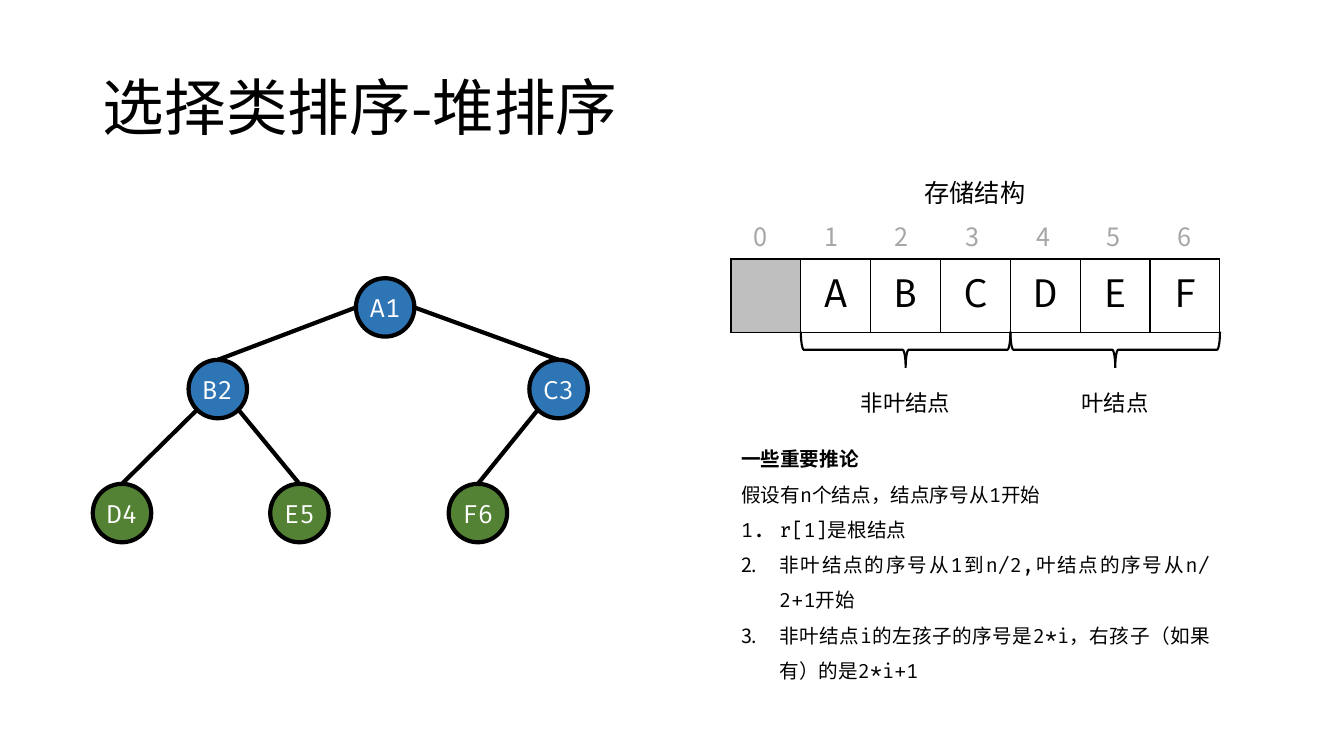
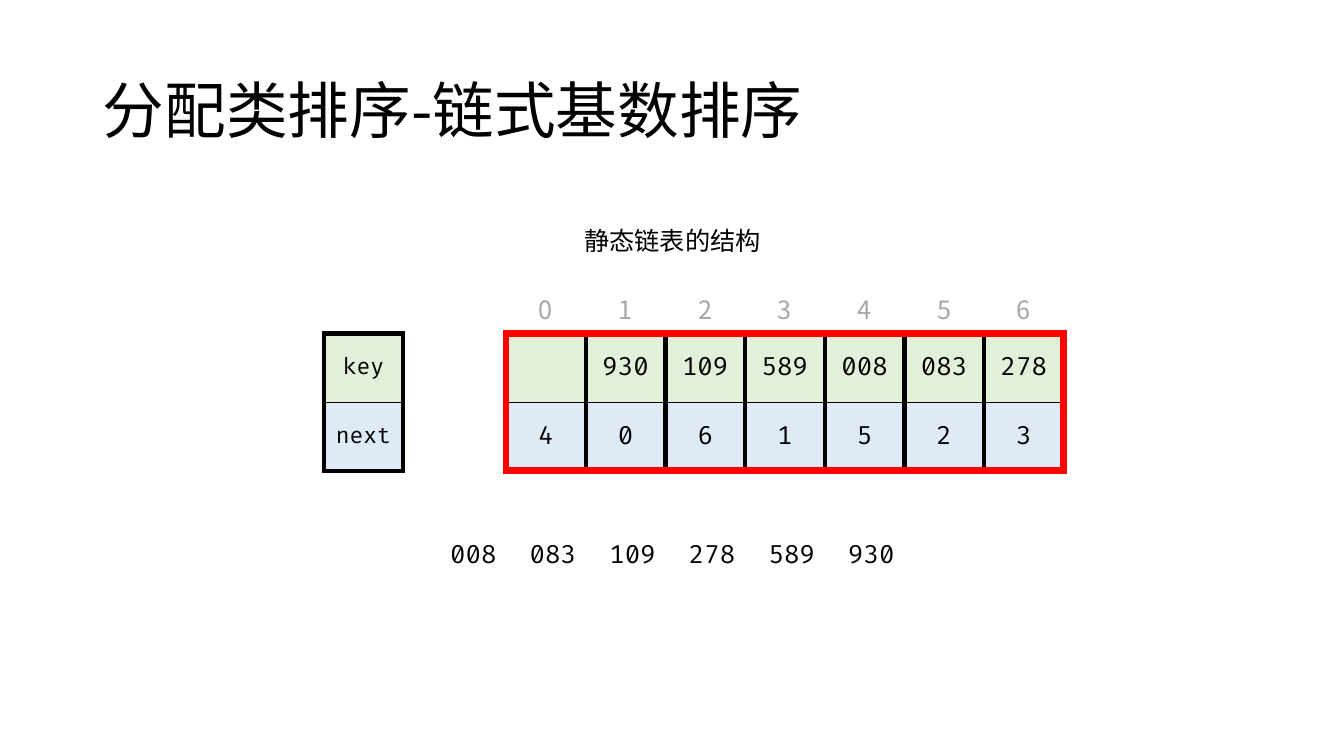
from dataclasses import dataclass
from math import cos, radians, sin

from lxml.etree import SubElement
from pptx import Presentation
from pptx.dml.color import RGBColor
from pptx.enum.shapes import MSO_CONNECTOR, MSO_SHAPE as SHAPE
from pptx.enum.text import MSO_ANCHOR as ANCHOR, MSO_AUTO_SIZE as FIT, PP_ALIGN as ALIGN
from pptx.oxml.ns import qn
from pptx.util import Inches, Pt


@dataclass(frozen=True)
class Theme:
    """Colours, fonts and type sizes of the deck."""
    ink: str = "000000"
    paper: str = "FFFFFF"
    muted: str = "A6A6A6"
    unused: str = "BFBFBF"
    inner_node: str = "2E75B6"
    leaf_node: str = "548235"
    key_fill: str = "E2F0D9"
    next_fill: str = "DEEBF7"
    highlight: str = "FF0000"
    sans: str = "Noto Sans CJK SC"
    code: str = "Fira Code"
    title: int = 44
    letter: int = 28
    text: int = 18
    small: int = 16
    body: int = 14
    border: float = 1
    brace: float = 1.5
    stroke: float = 3
    frame: float = 4.5


NO_GRID_STYLE = "{2D5ABB26-0587-4C30-8999-92F81FD0307C}"
TITLE_AND_BODY, TITLE_ONLY = 1, 5


class Deck:
    """Holds the presentation, its theme and the current slide."""

    def __init__(self, theme):
        """Start an empty widescreen deck."""
        self.theme = theme
        self.prs = Presentation()
        self.prs.slide_width, self.prs.slide_height = Inches(13.33), Inches(7.5)
        self.slide = None

    def style(self, paragraph, size, color=None, font=None, align=ALIGN.CENTER, bold=False):
        """Set alignment and font of a whole paragraph."""
        paragraph.alignment = align
        face = paragraph.font
        face.size, face.bold = Pt(size), bold
        face.color.rgb = RGBColor.from_string(color or self.theme.ink)
        face.name = font or self.theme.sans
        defaults = paragraph._p.pPr.find(qn("a:defRPr"))
        SubElement(defaults, qn("a:ea")).set("typeface", self.theme.sans)

    def place(self, holder, left, top, width, height):
        """Move a placeholder and stop it from resizing its text."""
        holder.left, holder.top = Inches(left), Inches(top)
        holder.width, holder.height = Inches(width), Inches(height)
        holder.text_frame.auto_size = FIT.NONE
        return holder.text_frame

    def new_slide(self, title, top, layout=TITLE_ONLY):
        """Add a slide with its title."""
        self.slide = self.prs.slides.add_slide(self.prs.slide_layouts[layout])
        frame = self.place(self.slide.shapes.title, 0.92, top, 11.5, 1.45)
        frame.text, frame.vertical_anchor = title, ANCHOR.MIDDLE
        heading = frame.paragraphs[0]
        heading.line_spacing = 0.9
        self.style(heading, self.theme.title, align=ALIGN.LEFT)

    def numbered_list(self, left, top, width, height, intro, items):
        """Fill the body with a bold heading, plain lines and a numbered list."""
        frame = self.place(self.slide.placeholders[1], left, top, width, height)
        frame.text = "\n".join(intro + items)
        frame.vertical_anchor = ANCHOR.TOP
        for row, paragraph in enumerate(frame.paragraphs):
            numbered = row >= len(intro)
            indent = Inches(0.38) if numbered else 0
            props = paragraph._p.get_or_add_pPr()
            props.set("marL", str(indent))
            props.set("indent", str(-indent))
            if numbered:
                SubElement(props, qn("a:buFont")).set("typeface", "+mj-lt")
                SubElement(props, qn("a:buAutoNum")).set("type", "arabicPeriod")
            else:
                SubElement(props, qn("a:buNone"))
            paragraph.line_spacing, paragraph.space_before = 1.5, Pt(0)
            self.style(paragraph, self.theme.body, font=self.theme.code,
                       align=ALIGN.JUSTIFY, bold=row == 0)

    def label(self, text, left, top, width, height, size):
        """Add a centred caption."""
        box = self.slide.shapes.add_textbox(Inches(left), Inches(top), Inches(width), Inches(height))
        box.text_frame.word_wrap = True
        box.text_frame.text = text
        self.style(box.text_frame.paragraphs[0], size)

    def shape(self, kind, left, top, width, height, weight, line=None, fill=None):
        """Add an outlined preset shape, hollow unless a fill is given."""
        item = self.slide.shapes.add_shape(kind, Inches(left), Inches(top), Inches(width), Inches(height))
        item.shadow.inherit = False
        if fill:
            item.fill.solid()
            item.fill.fore_color.rgb = RGBColor.from_string(fill)
        else:
            item.fill.background()
        item.line.color.rgb = RGBColor.from_string(line or self.theme.ink)
        item.line.width = Pt(weight)
        SubElement(item._element.spPr.find(qn("a:ln")), qn("a:miter")).set("lim", "800000")
        return item

    def tree_node(self, text, left, top, size, fill):
        """Add a round tree node."""
        node = self.shape(SHAPE.OVAL, left, top, size, size, self.theme.stroke, fill=fill)
        frame = node.text_frame
        frame.text, frame.word_wrap, frame.vertical_anchor = text, False, ANCHOR.MIDDLE
        self.style(frame.paragraphs[0], self.theme.text, self.theme.paper, self.theme.code)

    def edge(self, x1, y1, x2, y2):
        """Draw a straight tree edge."""
        line = self.slide.shapes.add_connector(
            MSO_CONNECTOR.STRAIGHT, Inches(x1), Inches(y1), Inches(x2), Inches(y2))
        line.line.color.rgb = RGBColor.from_string(self.theme.ink)
        line.line.width = Pt(self.theme.stroke)
        SubElement(line._element.spPr, qn("a:effectLst"))

    def brace(self, left, top, width, height):
        """Add a brace that opens upward over the given area."""
        turned_left = left + (width - height) / 2
        turned_top = top + (height - width) / 2
        mark = self.shape(SHAPE.RIGHT_BRACE, turned_left, turned_top, height, width, self.theme.brace)
        mark.rotation = 90

    def border(self, cell):
        """Draw a thin line around a table cell."""
        props = cell._tc.get_or_add_tcPr()
        for side in ("lnL", "lnR", "lnT", "lnB"):
            line = SubElement(props, qn(f"a:{side}"), w=str(Pt(self.theme.border)))
            paint = SubElement(line, qn("a:solidFill"))
            SubElement(paint, qn("a:srgbClr")).set("val", self.theme.ink)

    def table(self, rows, left, top, width, height, size, color=None, font=None,
              fills=None, bordered=False, anchor=ANCHOR.MIDDLE):
        """Add an even grid; fills maps (row, column) to a colour."""
        count = len(rows[0])
        grid = self.slide.shapes.add_table(
            len(rows), count, Inches(left), Inches(top), Inches(width), Inches(height)).table
        grid.first_row = grid.horz_banding = False
        grid._tbl.tblPr.find(qn("a:tableStyleId")).text = NO_GRID_STYLE
        for column in grid.columns:
            column.width = Inches(width / count)
        for r, values in enumerate(rows):
            grid.rows[r].height = Inches(height / len(rows))
            for c, value in enumerate(values):
                cell = grid.cell(r, c)
                cell.text, cell.vertical_anchor = value, anchor
                self.style(cell.text_frame.paragraphs[0], size, color, font or self.theme.code)
                if bordered:
                    self.border(cell)
                fill = (fills or {}).get((r, c))
                if fill:
                    cell.fill.solid()
                    cell.fill.fore_color.rgb = RGBColor.from_string(fill)
                else:
                    cell.fill.background()

    def indices(self, left, top, width, height, anchor=ANCHOR.MIDDLE):
        """Add the grey row of array positions 0 to 6."""
        self.table([list("0123456")], left, top, width, height, self.theme.text,
                   self.theme.muted, self.theme.sans, anchor=anchor)

    def list_node(self, key, link, left, top, width, height, size):
        """Add a framed list node with its key above its next field."""
        self.table([[key], [link]], left, top, width, height, size, bordered=True,
                   fills={(0, 0): self.theme.key_fill, (1, 0): self.theme.next_fill})
        self.shape(SHAPE.RECTANGLE, left, top, width, height, self.theme.stroke)


def heap_slide(deck):
    """Build the heap tree, its array storage and the conclusions."""
    theme = deck.theme
    deck.new_slide("选择类排序-堆排序", 0.37, TITLE_AND_BODY)

    diameter = 0.58
    radius = diameter / 2
    nodes = {"A1": (3.53, 2.76), "B2": (1.87, 3.57), "C3": (5.25, 3.57),
             "D4": (0.92, 4.8), "E5": (2.68, 4.8), "F6": (4.45, 4.8)}
    edges = [("A1", "B2", 180), ("A1", "C3", 0),
             ("B2", "D4", 135), ("B2", "E5", 45), ("C3", "F6", 135)]
    for parent, child, angle in edges:
        (px, py), (cx, cy) = nodes[parent], nodes[child]
        deck.edge(px + radius + radius * cos(radians(angle)),
                  py + radius + radius * sin(radians(angle)), cx + radius, cy)
    for name, (left, top) in nodes.items():
        deck.tree_node(name, left, top, diameter,
                       theme.inner_node if name in ("A1", "B2", "C3") else theme.leaf_node)

    left, width = 7.25, 4.85
    deck.label("存储结构", 8.69, 1.71, 1.96, 0.4, theme.text)
    deck.indices(7.19, 1.84, 4.91, 0.73, ANCHOR.BOTTOM)
    deck.table([["", *"ABCDEF"]], left, 2.57, width, 0.73, theme.letter,
               fills={(0, 0): theme.unused}, bordered=True)
    half = width * 3 / 7
    for part, caption in enumerate(("非叶结点", "叶结点")):
        start = left + width / 7 + part * half
        deck.brace(start, 3.29, half, 0.36)
        deck.label(caption, start, 3.81, half, 0.37, theme.small)

    deck.numbered_list(
        left, 4.27, width, 2.54,
        ["一些重要推论", "假设有n个结点，结点序号从1开始"],
        ["r[1]是根结点",
         "非叶结点的序号从1到n/2,叶结点的序号从n/2+1开始",
         "非叶结点i的左孩子的序号是2*i，右孩子（如果有）的是2*i+1"])


def radix_slide(deck):
    """Build the static linked list and its sorted keys."""
    theme = deck.theme
    deck.new_slide("分配类排序-链式基数排序", 0.4)
    deck.label("静态链表的结构", 5.69, 2.19, 1.96, 0.4, theme.text)

    keys = ["930", "109", "589", "008", "083", "278"]
    left, top, width, height = 5.02, 3.31, 0.79, 1.36
    total = width * (len(keys) + 1)
    deck.list_node("key", "next", 3.21, top, width, height, theme.small)
    deck.indices(left, 2.83, total, 0.41)
    for position, (key, link) in enumerate(zip(["", *keys], "4061523")):
        deck.list_node(key, link, left + position * width, top, width, height, theme.text)
    deck.shape(SHAPE.RECTANGLE, left, top, total, height, theme.frame, theme.highlight)
    deck.table([sorted(keys)], 4.3, 5.31, width * len(keys), 0.4, theme.text)


deck = Deck(Theme())
heap_slide(deck)
radix_slide(deck)
deck.prs.save("out.pptx")
